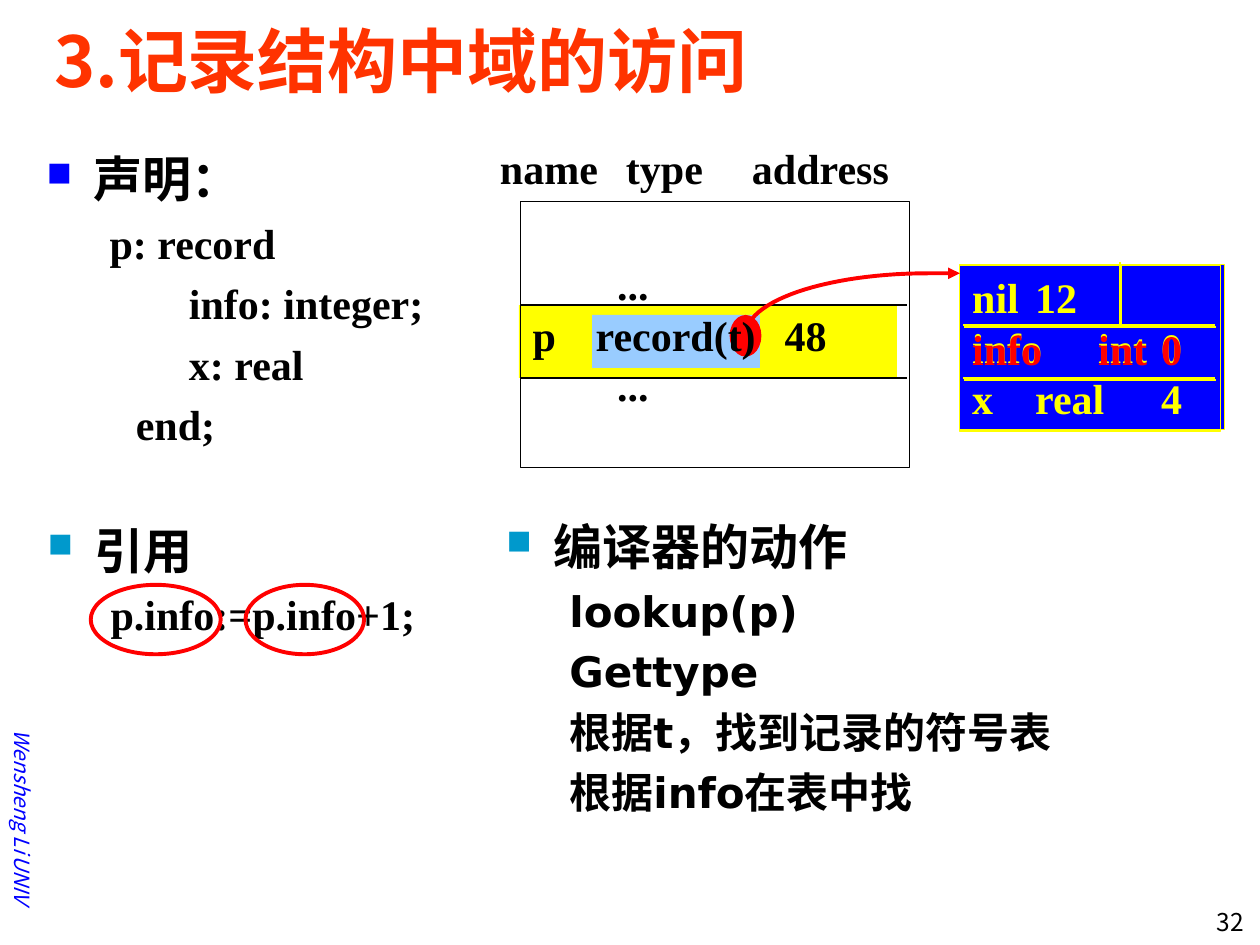
from dataclasses import dataclass

from lxml import etree
from pptx import Presentation
from pptx.dml.color import RGBColor
from pptx.enum.shapes import MSO_CONNECTOR, MSO_SHAPE
from pptx.enum.text import MSO_ANCHOR, PP_ALIGN
from pptx.oxml.ns import qn
from pptx.util import Cm, Pt

RECT, OVAL = MSO_SHAPE.RECTANGLE, MSO_SHAPE.OVAL
STRAIGHT = MSO_CONNECTOR.STRAIGHT
TOP, MIDDLE = MSO_ANCHOR.TOP, MSO_ANCHOR.MIDDLE
LEFT, RIGHT = PP_ALIGN.LEFT, PP_ALIGN.RIGHT


@dataclass(frozen=True)
class Theme:
    black: str = "000000"
    red: str = "FF0000"
    blue: str = "0000FF"
    yellow: str = "FFFF00"
    sky: str = "99CCFF"
    teal: str = "0099CC"
    orange: str = "FF3300"
    serif: str = "Times New Roman"
    sans: str = "DejaVu Sans"
    cjk: str = "Noto Sans CJK SC"
    title: int = 40
    heading: int = 28
    code: int = 24
    number: int = 14
    author: int = 12
    thin: float = 0.75
    thick: float = 2.25


THEME = Theme()

prs = Presentation()
prs.slide_width, prs.slide_height = Cm(25.4), Cm(19.05)
slide = prs.slides.add_slide(prs.slide_layouts[6])
shapes = slide.shapes


def add_box(at, kind=None, fill=None, line=None, width=THEME.thin, anchor=TOP):
    """Add a preset shape, or a plain text box when no kind is given."""
    place = [Cm(v) for v in at]
    if kind is None:
        box = shapes.add_textbox(*place)
    else:
        box = shapes.add_shape(kind, *place)
        box.shadow.inherit = False
    if fill:
        box.fill.solid()
        box.fill.fore_color.rgb = RGBColor.from_string(fill)
    else:
        box.fill.background()
    if line:
        box.line.color.rgb = RGBColor.from_string(line)
        box.line.width = Pt(width)
    else:
        box.line.fill.background()
    box.text_frame.word_wrap = True
    box.text_frame.vertical_anchor = anchor
    return box


def write(box, text, size=THEME.code, font=THEME.serif, color=THEME.black,
          bold=True, italic=False, align=LEFT, before=0, indent=0,
          hanging=0, bullet=None, tabs=()):
    """Add one paragraph; indent, hanging and tabs are in centimetres."""
    frame = box.text_frame
    paragraph = frame.paragraphs[0] if not frame.text else frame.add_paragraph()
    paragraph.alignment = align
    paragraph.space_before = Pt(before)
    run = paragraph.add_run()
    run.text = text
    run.font.size, run.font.name = Pt(size), font
    run.font.bold, run.font.italic = bold, italic
    run.font.color.rgb = RGBColor.from_string(color)
    etree.SubElement(run._r.rPr, qn("a:ea"), typeface=THEME.cjk)

    props = paragraph._p.get_or_add_pPr()
    props.set("marL", str(Cm(indent)))
    props.set("indent", str(Cm(-hanging)))
    if bullet:
        tint = etree.SubElement(props, qn("a:buClr"))
        etree.SubElement(tint, qn("a:srgbClr"), val=bullet)
        etree.SubElement(props, qn("a:buSzPct"), val="70000")
        etree.SubElement(props, qn("a:buChar"), char="■")
    if tabs:
        stops = etree.SubElement(props, qn("a:tabLst"))
        for stop in tabs:
            etree.SubElement(stops, qn("a:tab"), pos=str(Cm(stop)), algn="l")


# Author along the left edge, and slide number
author = add_box((-1.68, 16.46, 4.27, 0.76), anchor=MIDDLE)
author.rotation = 90
author.text_frame.margin_left = author.text_frame.margin_right = 0
write(author, "Wensheng Li\tUNIV", size=THEME.author, font=THEME.cjk,
      color=THEME.blue, bold=False, italic=True, tabs=[2.95])
number = add_box((23.22, 18.16, 2.11, 0.81))
write(number, "32", size=THEME.number, font=THEME.cjk, bold=False, align=RIGHT)

# Highlights behind the symbol table
add_box((10.46, 6.15, 7.62, 1.47), RECT, THEME.yellow)
add_box((11.94, 6.35, 3.38, 1.07), RECT, THEME.sky)
add_box((14.71, 6.35, 0.64, 0.84), OVAL, THEME.red)

# Title
title = add_box((0.84, 0.43, 23.93, 1.55), anchor=MIDDLE)
write(title, "3.记录结构中域的访问", size=THEME.title, font=THEME.cjk,
      color=THEME.orange)

# Bulleted sections: place, bullet colour, font, heading, (line, indent)
sections = [
    ((0.69, 2.87, 8.53, 7.26), THEME.blue, THEME.serif, "声明：",
     [("p: record", 1.27), ("info: integer;", 2.87), ("x: real", 2.87),
      ("end;", 1.8)]),
    ((0.71, 10.36, 8.86, 5.77), THEME.teal, THEME.serif, "引用",
     [("p.info:=p.info+1;", 1.27)]),
    ((9.96, 10.29, 12.5, 6.96), THEME.teal, THEME.sans, "编译器的动作",
     [("lookup(p)", 1.27), ("Gettype", 1.27),
      ("根据t，找到记录的符号表", 1.27), ("根据info在表中找", 1.27)]),
]
for place, bullet, font, heading, lines in sections:
    section = add_box(place)
    write(section, heading, size=THEME.heading, font=font, bullet=bullet,
          indent=0.95, hanging=0.95, before=THEME.heading * 0.24)
    for line, indent in lines:
        write(section, line, font=font, indent=indent, before=THEME.code * 0.24)

# Symbol table with its column heads
heads = add_box((9.83, 2.74, 9.58, 1.27), anchor=MIDDLE)
write(heads, "name\ttype\taddress", tabs=[2.82, 6.27])
symbols = add_box((10.49, 4.06, 7.85, 5.36), RECT, line=THEME.black, anchor=MIDDLE)
write(symbols, "...", indent=1.7)
write(symbols, "p\trecord(t)\t48", tabs=[1.52, 6.43])
write(symbols, "...", indent=1.7)

# Record table, then the outline that marks the found field
record = add_box((19.35, 5.33, 5.33, 3.33), RECT, THEME.blue, THEME.yellow,
                 anchor=MIDDLE)
write(record, "nil\t12", color=THEME.yellow, tabs=[4.38])
write(record, "info\tint\t0", color=THEME.yellow, tabs=[2.26, 4.32])
write(record, "x\treal\t4", color=THEME.yellow, tabs=[2.11, 4.34])
found = add_box((19.35, 5.36, 5.26, 3.33), RECT, line=THEME.yellow, anchor=MIDDLE)
write(found, "info\tint\t0", color=THEME.red, tabs=[2.26, 4.32])

# Rules inside both tables; the record table has a doubled set
rules = [((10.49, y, 18.29, y), THEME.black) for y in (6.15, 7.62)]
for dx, dy in ((0, 0), (0.03, 0.04)):
    for x1, y1, x2, y2 in ((19.41, 6.55, 24.49, 6.55), (19.41, 7.62, 24.49, 7.62),
                           (22.58, 5.28, 22.58, 6.55)):
        rules.append(((x1 + dx, y1 + dy, x2 + dx, y2 + dy), THEME.yellow))
for ends, color in rules:
    rule = shapes.add_connector(STRAIGHT, *[Cm(v) for v in ends])
    rule.line.color.rgb = RGBColor.from_string(color)
    rule.line.width = Pt(THEME.thin)
    etree.SubElement(rule._element.spPr, qn("a:effectLst"))

# Curved arrow from t to the record table, sampled from a cubic curve
controls = [(15.11, 6.5), (15.47, 5.92), (16.97, 5.51), (18.72, 5.51)]
steps = 24
curve = []
for step in range(steps + 1):
    t = step / steps
    weights = ((1 - t) ** 3, 3 * t * (1 - t) ** 2, 3 * t * t * (1 - t), t ** 3)
    curve.append([Cm(sum(w * point[axis] for w, point in zip(weights, controls)))
                  for axis in (0, 1)])
curve.append([Cm(19.35), Cm(5.51)])
builder = shapes.build_freeform(*curve[0])
builder.add_line_segments(curve[1:], close=False)
arrow = builder.convert_to_shape()
arrow.shadow.inherit = False
arrow.fill.background()
arrow.line.color.rgb = RGBColor.from_string(THEME.red)
arrow.line.width = Pt(THEME.thick)
etree.SubElement(arrow.line._get_or_add_ln(), qn("a:tailEnd"), type="triangle")

# Rings around both references
for left, width in ((1.83, 2.62), (4.95, 2.39)):
    add_box((left, 11.79, width, 1.4), OVAL, line=THEME.red, width=THEME.thick)

prs.save("out.pptx")
